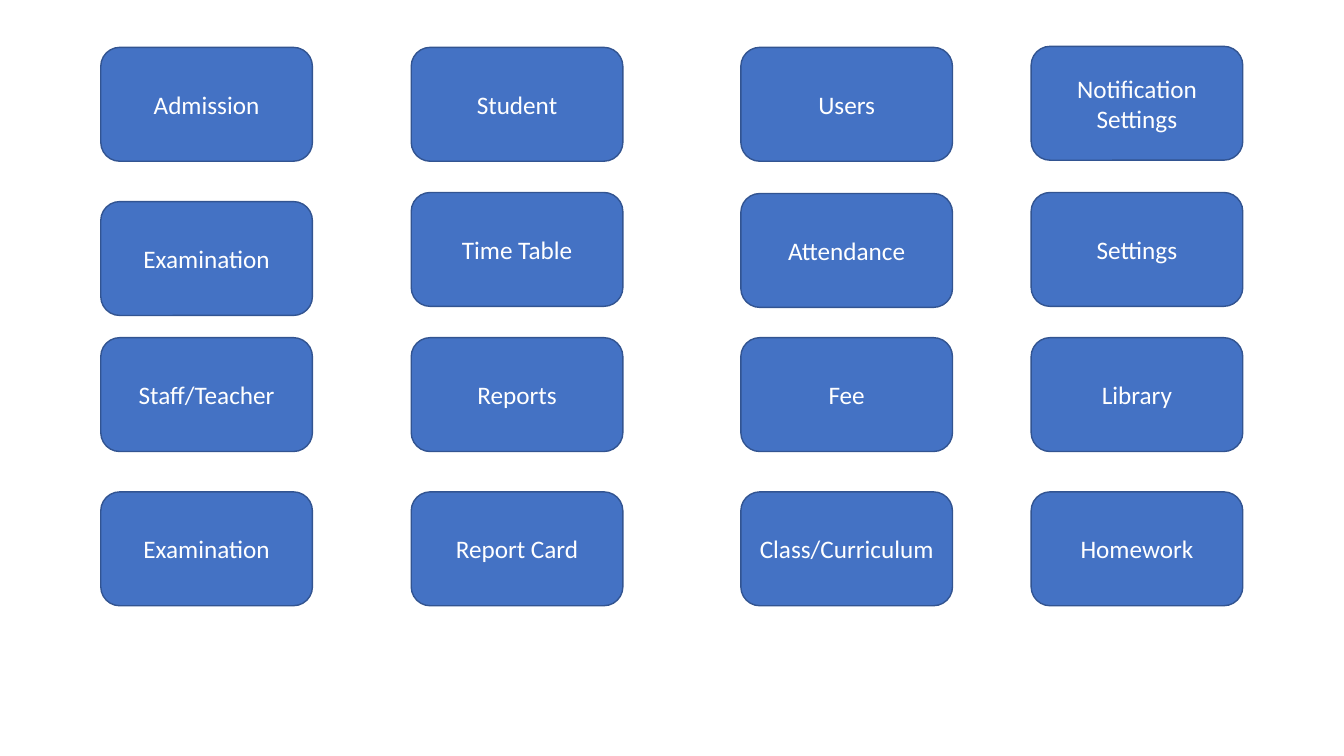
"""Build a slide with a four-by-four grid of school management modules."""
from dataclasses import dataclass

from pptx import Presentation
from pptx.dml.color import RGBColor
from pptx.enum.shapes import MSO_SHAPE
from pptx.enum.text import MSO_ANCHOR, PP_ALIGN
from pptx.slide import Slide
from pptx.util import Pt

ROUNDED = MSO_SHAPE.ROUNDED_RECTANGLE
MIDDLE = MSO_ANCHOR.MIDDLE
CENTER = PP_ALIGN.CENTER
BLANK_LAYOUT = 6


@dataclass(frozen=True)
class Theme:
    fill: RGBColor = RGBColor(0x44, 0x72, 0xC4)
    border: RGBColor = RGBColor(0x32, 0x54, 0x91)
    label: RGBColor = RGBColor(0xFF, 0xFF, 0xFF)
    font: str = "Calibri"
    label_size: float = 18
    border_width: float = 1


@dataclass(frozen=True)
class Module:
    name: str
    left: float
    top: float


THEME = Theme()
MODULE_WIDTH, MODULE_HEIGHT = 151.2, 81.36
COLUMN_LEFTS = (72, 293.76, 529.2, 736.56)
ROW_TOPS = (33.84, 137.52, 241.2, 351.36)
MODULE_NAMES = (
    ("Admission", "Student", "Users", "Notification Settings"),
    ("Examination", "Time Table", "Attendance", "Settings"),
    ("Staff/Teacher", "Reports", "Fee", "Library"),
    ("Examination", "Report Card", "Class/Curriculum", "Homework"),
)
TOP_OFFSETS = {(0, 3): -0.72, (1, 0): 6.48, (1, 2): 0.72}
LABEL_FORMAT = {"name": THEME.font, "size": Pt(THEME.label_size), "bold": False}


def module_grid() -> list[Module]:
    return [
        Module(name, COLUMN_LEFTS[column], top + TOP_OFFSETS.get((row, column), 0))
        for row, (top, names) in enumerate(zip(ROW_TOPS, MODULE_NAMES))
        for column, name in enumerate(names)
    ]


def draw_module(slide: Slide, module: Module) -> None:
    card = slide.shapes.add_shape(
        ROUNDED, Pt(module.left), Pt(module.top), Pt(MODULE_WIDTH), Pt(MODULE_HEIGHT)
    )
    card.shadow.inherit = False
    card.fill.solid()
    card.fill.fore_color.rgb = THEME.fill
    card.line.color.rgb = THEME.border
    card.line.width = Pt(THEME.border_width)
    label = card.text_frame
    label.word_wrap = True
    label.vertical_anchor = MIDDLE
    paragraph = label.paragraphs[0]
    paragraph.alignment = CENTER
    run = paragraph.add_run()
    run.text = module.name
    for attribute, value in LABEL_FORMAT.items():
        setattr(run.font, attribute, value)
    run.font.color.rgb = THEME.label


def main() -> None:
    deck = Presentation()
    deck.slide_width, deck.slide_height = Pt(960), Pt(540)
    slide = deck.slides.add_slide(deck.slide_layouts[BLANK_LAYOUT])
    for module in module_grid():
        draw_module(slide, module)
    deck.save("out.pptx")


main()
